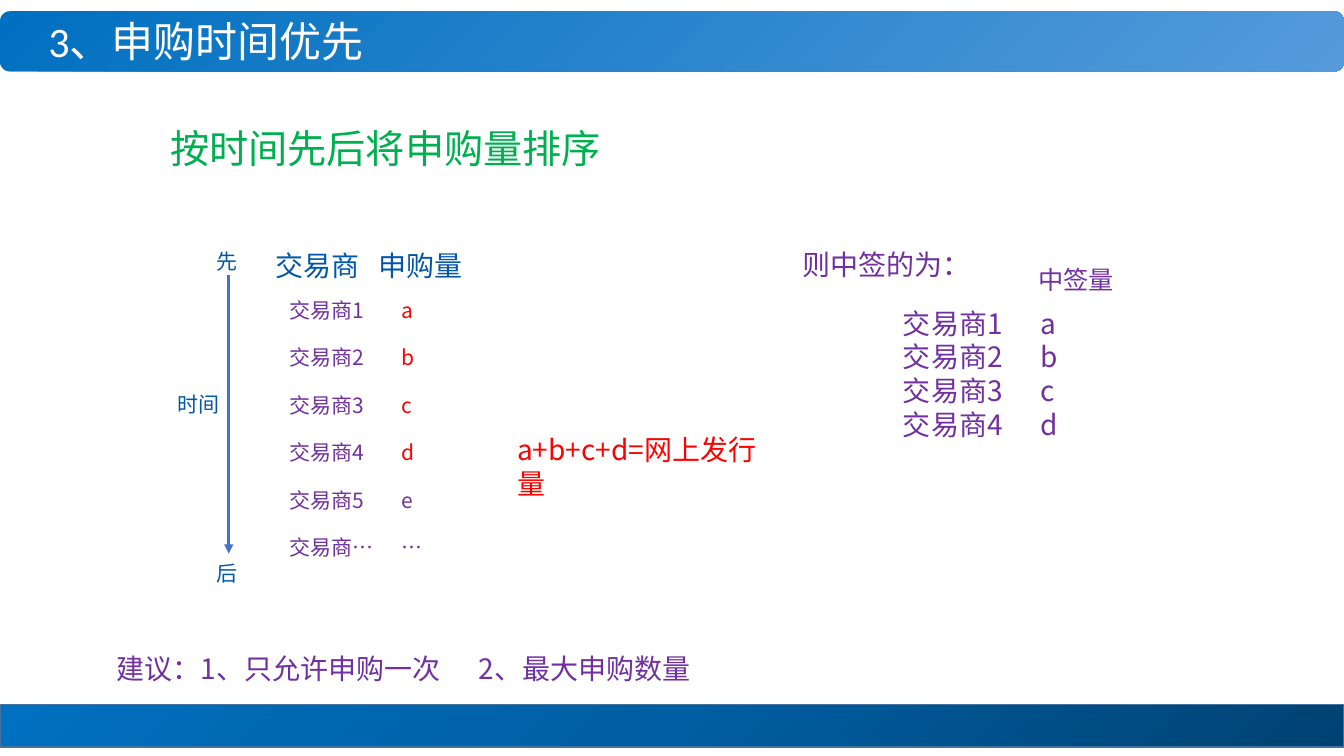
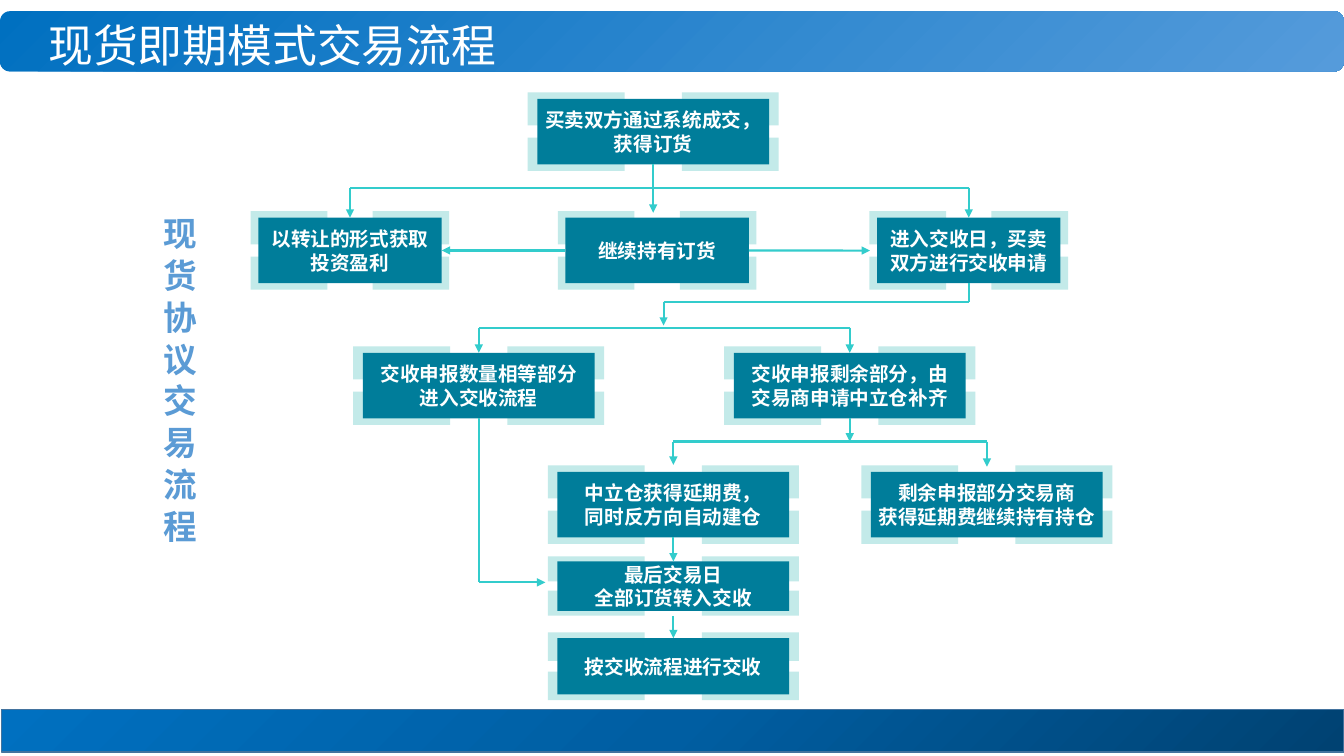
import pptx
import pptx.dml.color
import pptx.enum.shapes
import pptx.enum.text
import pptx.oxml.ns
import pptx.util
from lxml import etree

Pt = pptx.util.Pt
qn = pptx.oxml.ns.qn
SHAPES = pptx.enum.shapes.MSO_SHAPE
ALIGN = pptx.enum.text.PP_ALIGN
ANCHOR = pptx.enum.text.MSO_ANCHOR

SANS = "Noto Sans CJK SC"
WHITE, PURPLE, RED, BLUE, GREEN = "FFFFFF", "7030A0", "FF0000", "0057A9", "00B050"
TEAL, PALE_TEAL, FLOW_LINE, AXIS_LINE = "007D9A", "C3EAE9", "33CCCC", "4472C4"
FOOTER_LINE, SIDE_BLUE = "43739E", "5B9BD5"
HEADER_STOPS = [(0, "0070C0"), (100, "559BDB")]
FOOTER_STOPS = [(0, "004272"), (50, "005EA2"), (100, "0070C0")]


def colour(code):
    """Turn a hex string into a colour."""
    return pptx.dml.color.RGBColor.from_string(code)


def shifted(box, left, top, width, height):
    """Return a rectangle offset by the corner of the given box."""
    return box[0] + left, box[1] + top, width, height


def add_block(page, box, fill=None, kind=SHAPES.RECTANGLE):
    """Add a flat preset shape without outline."""
    shape = page.shapes.add_shape(kind, *map(Pt, box))
    shape.shadow.inherit = False
    shape.line.fill.background()
    if fill:
        shape.fill.solid()
        shape.fill.fore_color.rgb = colour(fill)
    return shape


def set_gradient(shape, stops, angle=None):
    """Fill a shape with a linear gradient, or a round one from its lower right corner."""
    shape.fill.gradient()
    gradient = shape.element.spPr.find(qn("a:gradFill"))
    for child in list(gradient):
        gradient.remove(child)
    stop_list = etree.SubElement(gradient, qn("a:gsLst"))
    for position, code in stops:
        stop = etree.SubElement(stop_list, qn("a:gs"), pos=str(position * 1000))
        etree.SubElement(stop, qn("a:srgbClr"), val=code)
    if angle is None:
        centre = etree.SubElement(gradient, qn("a:path"), {"path": "circle"})
        etree.SubElement(centre, qn("a:fillToRect"), l="100000", t="100000")
    else:
        etree.SubElement(gradient, qn("a:lin"), ang=str(angle * 60000), scaled="0")


def write(shape, lines, size, code, font=SANS, bold=False, align=ALIGN.LEFT,
          tab=None, accent=None, spacing=None):
    """Write lines into a shape; accent colours what follows the tab."""
    frame = shape.text_frame
    for index, line in enumerate(lines):
        para = frame.add_paragraph() if index else frame.paragraphs[0]
        para.alignment = align
        if tab:
            tabs = etree.SubElement(para._p.get_or_add_pPr(), qn("a:tabLst"))
            etree.SubElement(tabs, qn("a:tab"), pos=str(Pt(tab)), algn="l")
        if spacing:
            para.line_spacing = spacing
        head, gap, rest = line.partition("\t")
        parts = [(head + gap, code), (rest, accent)] if accent else [(line, code)]
        for text, shade in parts:
            span = para.add_run()
            span.text = text
            for name, value in {"size": Pt(size), "bold": bold, "name": font}.items():
                setattr(span.font, name, value)
            span.font.color.rgb = colour(shade)
            east_asian = SANS if font == "Calibri" else font
            etree.SubElement(span.font._element, qn("a:ea"), typeface=east_asian)


def add_text(page, box, lines, size, code, **style):
    """Add a wrapping text box."""
    shape = page.shapes.add_textbox(*map(Pt, box))
    shape.text_frame.word_wrap = True
    write(shape, lines, size, code, **style)
    return shape


def side_point(shape, side):
    """Return the middle of a side: 0 top, 1 left, 2 bottom, 3 right."""
    across, down = [(0.5, 0), (0, 0.5), (0.5, 1), (1, 0.5)][side]
    return int(shape.left + across * shape.width), int(shape.top + down * shape.height)


def add_line(page, start, end, code, width, arrow=True):
    """Draw a line between two ends, each a point or a (shape, side) pair."""
    joined = [not isinstance(place[0], (int, float)) for place in (start, end)]
    points = [side_point(*place) if join else tuple(map(Pt, place))
              for place, join in zip((start, end), joined)]
    line = page.shapes.add_connector(
        pptx.enum.shapes.MSO_CONNECTOR.STRAIGHT, *points[0], *points[1])
    line.line.color.rgb = colour(code)
    line.line.width = Pt(width)
    if arrow:
        etree.SubElement(line.line._get_or_add_ln(), qn("a:tailEnd"), type="triangle")
    etree.SubElement(line._element.spPr, qn("a:effectLst"))
    if joined[0]:
        line.begin_connect(*start)
    if joined[1]:
        line.end_connect(*end)


def add_page(deck, title, footer_box, **title_style):
    """Add a blank page with its header band, title and footer band."""
    page = deck.slides.add_slide(deck.slide_layouts[6])
    header = add_block(page, (0, 8, 960, 43), kind=SHAPES.ROUNDED_RECTANGLE)
    set_gradient(header, HEADER_STOPS, 45)
    heading = add_text(page, (24.5, 4.3, 679, 54.7), [title], code=WHITE, **title_style)
    insets = {"margin_left": Pt(10), "margin_right": Pt(10), "margin_top": 0,
              "margin_bottom": 0, "vertical_anchor": ANCHOR.MIDDLE}
    for name, value in insets.items():
        setattr(heading.text_frame, name, value)
    footer = add_block(page, footer_box)
    set_gradient(footer, FOOTER_STOPS)
    footer.line.color.rgb = colour(FOOTER_LINE)
    footer.line.width = Pt(1)
    return page


def add_ranking(page, box):
    """Place the time axis, the ranked orders and their sum."""
    left, top = box[:2]
    add_text(page, shifted(box, 69.4, 0, 229, 32), ["交易商\t申购量"], 20, BLUE, tab=74)
    orders = [("交易商1\ta", RED), ("交易商2\tb", RED), ("交易商3\tc", RED),
              ("交易商4\td", RED), ("交易商5\te", None), ("交易商…\t…", None)]
    for index, (order, accent) in enumerate(orders):
        add_text(page, shifted(box, 79.4, 34.8 + 33.84 * index, 150, 25), [order], 15,
                 PURPLE, tab=80.5, accent=accent)
    add_line(page, (left + 43.4, top + 22.6), (left + 43.4, top + 221.3), AXIS_LINE, 2.25)
    for label, across, down in [("先", 27.6, 0), ("时间", 0, 101.8), ("后", 27.6, 222.7)]:
        add_text(page, shifted(box, across, down, 52, 25), [label], 15, BLUE)
    add_text(page, shifted(box, 242.2, 131.3, 202.3, 32), ["a+b+c+d=网上发行量"], 20, RED)


def add_winners(page, box):
    """Place the list of winning orders."""
    add_text(page, shifted(box, 0, 0, 168, 32), ["则中签的为："], 20, PURPLE)
    add_text(page, shifted(box, 168.4, 11.5, 72, 29), ["中签量"], 18, PURPLE)
    winners = [f"交易商{rank}\t{amount}" for rank, amount in enumerate("abcd", 1)]
    add_text(page, shifted(box, 71.9, 41.8, 176, 104), winners, 20, PURPLE, tab=98.5)


def add_step(page, box, lines):
    """Place a step: four pale corners behind a labelled core, which is returned."""
    left, top, width, height = box
    margin_x, margin_y = 0.0415 * width, 0.1 * height
    corner_w, corner_h = 0.418 * width, 0.506 * height
    for x in (left - margin_x, left + width + margin_x - corner_w):
        for y in (top - margin_y, top + height + margin_y - corner_h):
            add_block(page, (x, y, corner_w, corner_h), PALE_TEAL)
    core = add_block(page, box, TEAL)
    core.text_frame.word_wrap = False
    core.text_frame.vertical_anchor = ANCHOR.MIDDLE
    write(core, lines, 14, WHITE, bold=True, align=ALIGN.CENTER)
    return core


def add_flow(page, box):
    """Place the trading steps and the lines between them."""
    wide, narrow, tall = 165.6, 131, 46.8
    steps = {
        "deal": (203.8, 5.6, wide, tall, ["买卖双方通过系统成交，", "获得订货"]),
        "transfer": (4.5, 90.5, narrow, tall, ["以转让的形式获取", "投资盈利"]),
        "hold": (223.9, 90.5, narrow, tall, ["继续持有订货"]),
        "apply": (446.5, 90.5, narrow, tall, ["进入交收日，买卖", "双方进行交收申请"]),
        "equal": (79.2, 187, wide, tall, ["交收申报数量相等部分", "进入交收流程"]),
        "remain": (344.2, 187, wide, tall, ["交收申报剩余部分，由", "交易商申请中立仓补齐"]),
        "neutral": (218.2, 272, wide, tall, ["中立仓获得延期费，", "同时反方向自动建仓"]),
        "extend": (442.1, 272, wide, tall, ["剩余申报部分交易商", "获得延期费继续持有持仓"]),
        "final": (218.2, 336, wide, 35.3, ["最后交易日", "全部订货转入交收"]),
        "settle": (218.2, 390.8, wide, 40.3, ["按交收流程进行交收"]),
    }
    cores = {name: add_step(page, shifted(box, *place), lines)
             for name, (*place, lines) in steps.items()}
    arrows = [
        (("deal", 2), (286.6, 87)), ((70, 69), ("transfer", 0)), ((512, 69), ("apply", 0)),
        (("hold", 1), ("transfer", 3)), (("hold", 3), (441.4, 114)),
        ((294, 151), (294, 167.6)), ((162, 169), ("equal", 0)), ((427, 169), ("remain", 0)),
        (("remain", 2), (427, 250.4)), ((301, 250.4), (301, 267)),
        ((525, 250.4), (525, 268.4)), (("neutral", 2), ("final", 0)),
        ((301, 375), ("settle", 0)), ((162, 351), (209.5, 351)),
    ]
    plain_lines = [
        ((512, 69), (70, 69)), (("apply", 2), (512, 151)), ((294, 151), (512, 151)),
        ((427, 169), (162, 169)), ((525, 250.4), (301, 250.4)), (("equal", 2), (162, 351)),
    ]

    def resolve(end):
        """Turn a step name into its core, or a point into page terms."""
        if end[0] in cores:
            return cores[end[0]], end[1]
        return box[0] + end[0], box[1] + end[1]

    for routes, arrow in ((plain_lines, False), (arrows, True)):
        for start, end in routes:
            add_line(page, resolve(start), resolve(end), FLOW_LINE, 1.5, arrow)


def build_priority_page(deck):
    """Build the page on priority by time."""
    page = add_page(deck, "3、申购时间优先", (0, 503.3, 960, 30.2),
                    size=30, font="Calibri", spacing=0.9)
    add_text(page, (114.5, 85, 340.6, 41), ["按时间先后将申购量排序"], 28, GREEN,
             font="Calibri")
    add_ranking(page, (120, 174.2, 445, 248))
    add_winners(page, (566, 173.5, 248, 146))
    add_text(page, (76.3, 461.5, 774, 32), ["建议：1、只允许申购一次\t2、最大申购数量"], 20,
             PURPLE, tab=258.6)


def build_flow_page(deck):
    """Build the page with the trading flow."""
    page = add_page(deck, "现货即期模式交易流程", (1, 506.9, 959, 30.2),
                    size=32, font="Noto Sans CJK JP")
    add_flow(page, (180, 65, 620, 436))
    label = add_text(page, (102.2, 148, 44, 258), ["现 货 协 议 交 易 流 程"], 24,
                     SIDE_BLUE, bold=True)
    label.text_frame._txBody.bodyPr.set("vert", "eaVert")


def main():
    """Build and save the deck."""
    deck = pptx.Presentation()
    deck.slide_width, deck.slide_height = Pt(960), Pt(540)
    build_priority_page(deck)
    build_flow_page(deck)
    deck.save("out.pptx")


if __name__ == "__main__":
    main()
